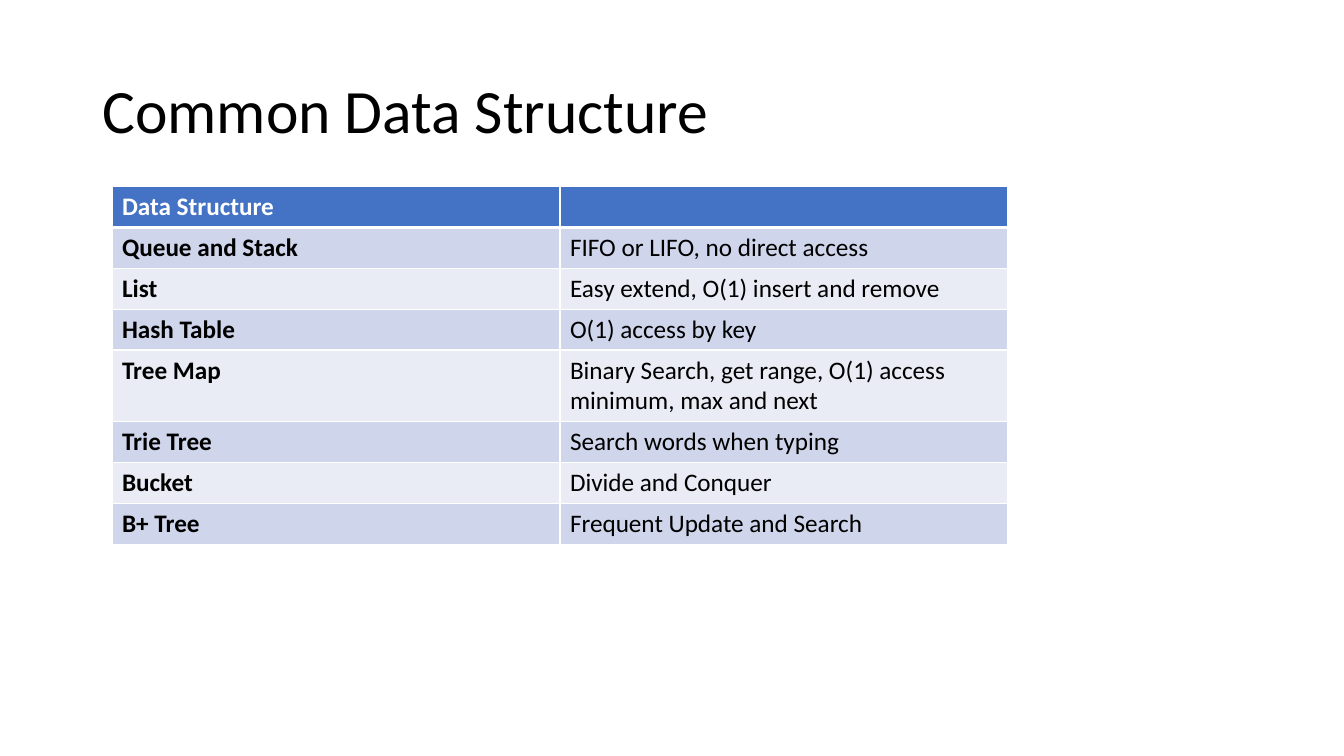
from lxml.etree import SubElement
from pptx import Presentation
from pptx.dml.color import RGBColor
from pptx.enum.text import MSO_ANCHOR, MSO_AUTO_SIZE, PP_ALIGN
from pptx.oxml.ns import qn
from pptx.util import Pt

ROWS = [
    ("Data Structure", ""),
    ("Queue and Stack", "FIFO or LIFO, no direct access"),
    ("List", "Easy extend, O(1) insert and remove"),
    ("Hash Table", "O(1) access by key"),
    ("Tree Map", "Binary Search, get range, O(1) access minimum, max and next"),
    ("Trie Tree", "Search words when typing"),
    ("Bucket", "Divide and Conquer"),
    ("B+ Tree", "Frequent Update and Search"),
]


def rgb(color):
    return RGBColor.from_string(color)


class Deck:
    font = "Calibri"
    black, white = "000000", "FFFFFF"
    header, bands = "4472C4", ("E9EBF5", "CFD5EA")

    def __init__(self, width, height):
        self.prs = Presentation()
        self.prs.slide_width, self.prs.slide_height = Pt(width), Pt(height)
        self.s = self.prs.slides.add_slide(self.prs.slide_layouts[5])

    def run(self, p, text, size, color, bold=False):
        r = p.add_run()
        r.text = text
        r.font.name, r.font.size, r.font.bold = self.font, Pt(size), bold
        r.font.color.rgb = rgb(color)

    def title(self, text, x, y, w, h):
        sp = self.s.shapes.title
        sp.left, sp.top, sp.width, sp.height = Pt(x), Pt(y), Pt(w), Pt(h)
        tf = sp.text_frame
        tf.word_wrap, tf.auto_size = True, MSO_AUTO_SIZE.NONE
        tf.vertical_anchor = MSO_ANCHOR.MIDDLE
        p = tf.paragraphs[0]
        p.alignment, p.line_spacing = PP_ALIGN.LEFT, 0.9
        self.run(p, text, 44, self.black)

    def border(self, cell, side, width):
        """Add one cell edge; call in the order L, R, T, B, before the fill."""
        tcPr = cell._tc.get_or_add_tcPr()
        ln = SubElement(tcPr, qn(f"a:ln{side}"), w=str(Pt(width)))
        fill = SubElement(ln, qn("a:solidFill"))
        SubElement(fill, qn("a:srgbClr"), val=self.white)

    def table(self, rows, x, y, w, row_h):
        """Draw a banded table with a header row and a bold first column."""
        frame = self.s.shapes.add_table(
            len(rows), len(rows[0]), Pt(x), Pt(y), Pt(w), Pt(row_h * len(rows)))
        for i, row in enumerate(rows):
            edges = {"L": 1, "R": 1, "T": 3 if i == 1 else 1, "B": 3 if i == 0 else 1}
            for j, text in enumerate(row):
                cell = frame.table.cell(i, j)
                for side, width in edges.items():
                    self.border(cell, side, width)
                cell.fill.solid()
                cell.fill.fore_color.rgb = rgb(self.bands[i % 2] if i else self.header)
                if text:
                    self.run(cell.text_frame.paragraphs[0], text, 18,
                             self.black if i else self.white, bold=i == 0 or j == 0)


def main():
    deck = Deck(960, 540)
    deck.title("Common Data Structure", 66, 28.75, 828, 104.4)
    deck.table(ROWS, 80, 133.2, 640, 29.2)
    deck.prs.save("out.pptx")


if __name__ == "__main__":
    main()
